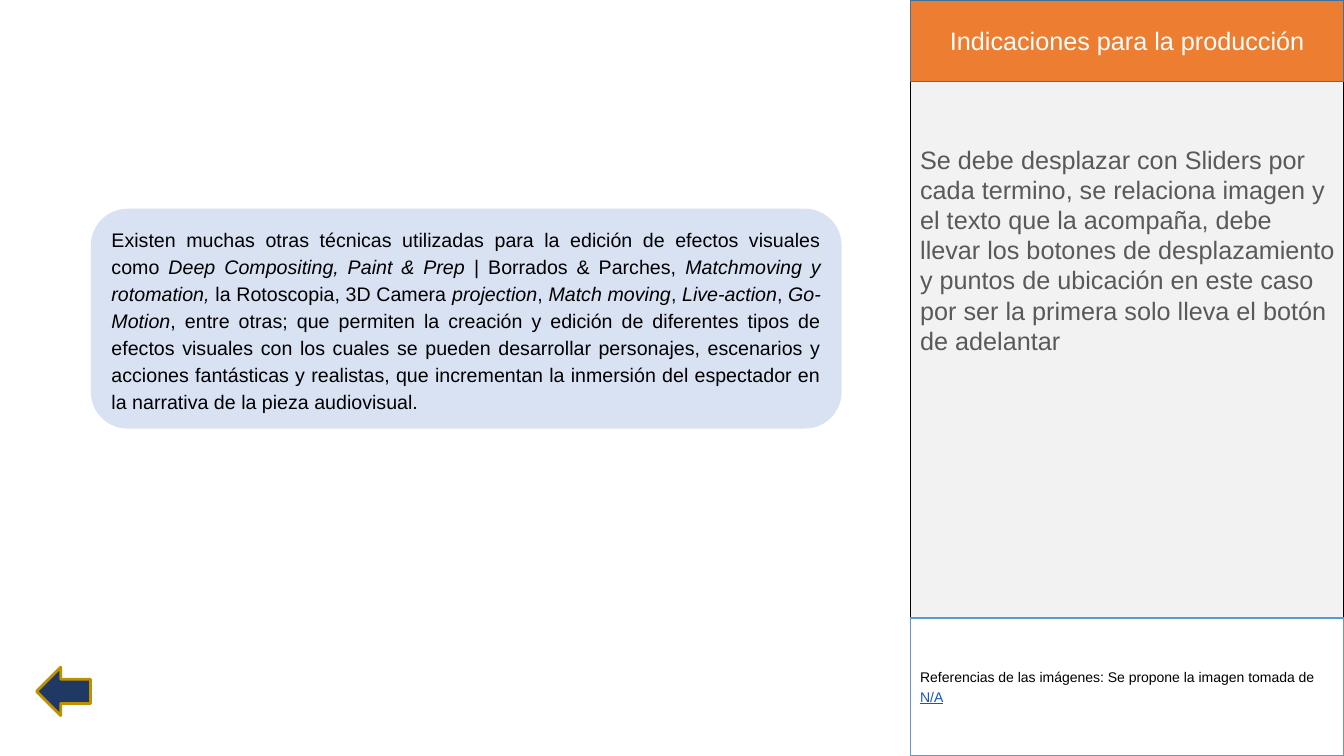
import pptx
import pptx.util
import pptx.dml.color
import pptx.enum.shapes
import pptx.enum.text

Cm, Pt = pptx.util.Cm, pptx.util.Pt
RGB = pptx.dml.color.RGBColor
KIND = pptx.enum.shapes.MSO_SHAPE
ALIGN = pptx.enum.text.PP_ALIGN
ANCHOR = pptx.enum.text.MSO_ANCHOR

# Content: each paragraph is a list of (text, italic) runs
TITLE = [[("Indicaciones para la producción", False)]]
GUIDE = [[(
    "Se debe desplazar con Sliders por cada termino, se relaciona imagen y "
    "el texto que la acompaña, debe llevar los botones de desplazamiento y "
    "puntos de ubicación en este caso por ser la primera solo lleva el botón "
    "de adelantar", False)]]
REFS = [
    [("Referencias de las imágenes: Se propone la imagen tomada de", False)],
    [("N/A", False)],
]
BODY = [[
    ("Existen muchas otras técnicas utilizadas para la edición de efectos "
     "visuales como ", False),
    ("Deep Compositing, Paint & Prep", True),
    (" | Borrados & Parches, ", False),
    ("Matchmoving y rotomation,", True),
    (" la Rotoscopia, 3D Camera ", False),
    ("projection", True),
    (", ", False),
    ("Match moving", True),
    (", ", False),
    ("Live-action", True),
    (", ", False),
    ("Go-Motion", True),
    (", entre otras; que permiten la creación y edición de diferentes tipos "
     "de efectos visuales con los cuales se pueden desarrollar personajes, "
     "escenarios y acciones fantásticas y realistas, que incrementan la "
     "inmersión del espectador en la narrativa de la pieza audiovisual.",
     False),
]]

# Colours
BLACK = RGB(0x00, 0x00, 0x00)
WHITE = RGB(0xFF, 0xFF, 0xFF)
GRAY = RGB(0xF2, 0xF2, 0xF2)
DARK = RGB(0x59, 0x59, 0x59)
ORANGE = RGB(0xED, 0x7D, 0x31)
STEEL = RGB(0x42, 0x71, 0x9B)
BLUE = RGB(0x5B, 0x9B, 0xD5)
PALE = RGB(0xD8, 0xE2, 0xF3)
NAVY = RGB(0x1F, 0x38, 0x64)
GOLD = RGB(0xBF, 0x90, 0x00)
LINK = RGB(0x11, 0x55, 0xCC)

# Layout in centimetres
WIDE, HIGH = 33.87, 19.05
LEFT = 22.94
SIDE = WIDE - LEFT
HEAD = 2.06
FOOT = 15.57

deck = pptx.Presentation()
deck.slide_width, deck.slide_height = Cm(WIDE), Cm(HIGH)
slide = deck.slides.add_slide(deck.slide_layouts[6])


def add_box(kind, area, fill, line=None, width=1):
    box = slide.shapes.add_shape(kind, *map(Cm, area))
    box.shadow.inherit = False
    box.fill.solid()
    box.fill.fore_color.rgb = fill
    if line is None:
        box.line.fill.background()
    else:
        box.line.color.rgb = line
        box.line.width = Pt(width)
    return box


def write(box, paras, size, color, align=ALIGN.LEFT, anchor=ANCHOR.MIDDLE):
    frame = box.text_frame
    frame.word_wrap = True
    frame.vertical_anchor = anchor
    for i, runs in enumerate(paras):
        para = frame.add_paragraph() if i else frame.paragraphs[0]
        para.alignment = align
        for text, slant in runs:
            run = para.add_run()
            run.text = text
            run.font.name = "Arial"
            run.font.size = Pt(size)
            run.font.color.rgb = color
            run.font.italic = slant
    return frame.paragraphs[-1]


# Side panel with production notes
add_box(KIND.RECTANGLE, (LEFT, 0, SIDE, HIGH), GRAY, BLACK)
guide = slide.shapes.add_textbox(Cm(LEFT), Cm(3.5), Cm(11), Cm(8.38))
write(guide, GUIDE, 18, DARK, anchor=ANCHOR.TOP)

# Panel heading
head = add_box(KIND.RECTANGLE, (LEFT, 0, SIDE, HEAD), ORANGE, STEEL)
write(head, TITLE, 18, WHITE, ALIGN.CENTER)

# Image references
refs = add_box(KIND.RECTANGLE, (LEFT, FOOT, SIDE, HIGH - FOOT), WHITE, BLUE)
last = write(refs, REFS, 10, BLACK)
last.line_spacing = 1.15
last.runs[0].font.color.rgb = LINK
last.runs[0].font.underline = True

# Main text
card = add_box(KIND.ROUNDED_RECTANGLE, (2.29, 5.26, 18.92, 5.54), PALE)
last = write(card, BODY, 14, BLACK, ALIGN.JUSTIFY, ANCHOR.TOP)
last.line_spacing = 1.15

# Back button
back = add_box(KIND.RIGHT_ARROW, (0.92, 16.81, 1.36, 1.22), NAVY, GOLD, 2)
back.rotation = 180

deck.save("out.pptx")
